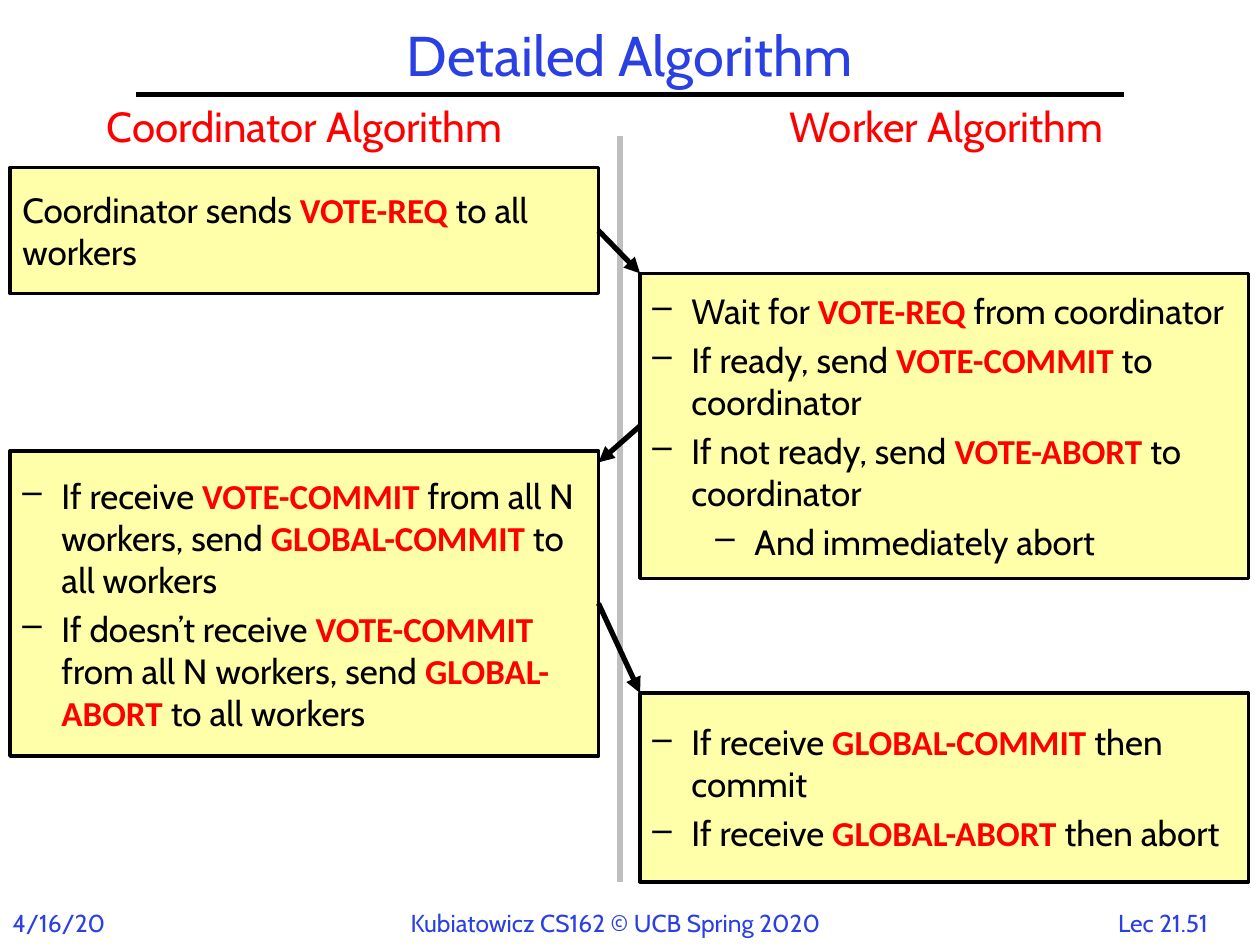
import pptx
import pptx.util
import pptx.dml.color
import pptx.enum.shapes
import pptx.enum.text
import pptx.oxml.ns
from lxml import etree
from pptx.util import Inches

COLORS = {"blue": "2A40E2", "red": "FF0000", "black": "000000",
          "gray": "BFBFBF", "yellow": "FFFFAA"}
BODY_FONT, COMMAND_FONT = "Cabin", "Calibri"
ALIGN = pptx.enum.text.PP_ALIGN
ANCHOR = pptx.enum.text.MSO_ANCHOR
INDENT = 0.31

LEFT_X, LEFT_W = 0.08, 4.67
RIGHT_X, RIGHT_W = 5.08, 4.83

# Steps: (indent level or None for no bullet, text with *commands* marked)
REQUEST = [(None, "Coordinator sends *VOTE-REQ *to all workers")]
VOTE = [
    (0, "Wait for *VOTE-REQ *from coordinator"),
    (0, "If ready, send *VOTE-COMMIT *to coordinator"),
    (0, "If not ready, send *VOTE-ABORT *to coordinator"),
    (1, "And immediately abort"),
]
DECISION = [
    (0, "If receive *VOTE-COMMIT *from all N workers, send *GLOBAL-COMMIT* to all workers"),
    (0, "If doesn’t receive *VOTE-COMMIT *from all N workers, send *GLOBAL-ABORT *to all workers"),
]
OUTCOME = [
    (0, "If receive *GLOBAL-COMMIT *then commit"),
    (0, "If receive *GLOBAL-ABORT *then abort"),
]


def rgb(name):
    return pptx.dml.color.RGBColor.from_string(COLORS[name])


def add_run(paragraph, text, size, color, font=BODY_FONT, bold=False):
    run = paragraph.add_run()
    run.text = text
    run.font.name = font
    run.font.size = pptx.util.Pt(size)
    run.font.bold = bold
    run.font.color.rgb = rgb(color)


def add_label(slide, box, text, size, color, align=ALIGN.LEFT):
    label = slide.shapes.add_textbox(*map(Inches, box))
    label.text_frame.word_wrap = False
    paragraph = label.text_frame.paragraphs[0]
    paragraph.alignment = align
    add_run(paragraph, text, size, color)


def add_line(slide, start, end, color, arrow=False):
    line = slide.shapes.add_connector(
        pptx.enum.shapes.MSO_CONNECTOR.STRAIGHT, *map(Inches, start + end))
    line.line.color.rgb = rgb(color)
    line.line.width = pptx.util.Pt(3)
    if arrow:
        etree.SubElement(line.line._get_or_add_ln(),
                         pptx.oxml.ns.qn("a:tailEnd"), type="triangle")
    etree.SubElement(line._element.spPr, pptx.oxml.ns.qn("a:effectLst"))
    return line


def add_message(slide, sender, side, start, end):
    """Arrow from the middle of the sender's side to the receiver's corner."""
    add_line(slide, start, end, "black", arrow=True).begin_connect(sender, side)


def add_step_box(slide, box, steps):
    step_box = slide.shapes.add_shape(
        pptx.enum.shapes.MSO_SHAPE.RECTANGLE, *map(Inches, box))
    step_box.shadow.inherit = False
    step_box.fill.solid()
    step_box.fill.fore_color.rgb = rgb("yellow")
    step_box.line.color.rgb = rgb("black")
    step_box.line.width = pptx.util.Pt(2)
    frame = step_box.text_frame
    frame.word_wrap = True
    frame.vertical_anchor = ANCHOR.MIDDLE
    for index, (level, text) in enumerate(steps):
        paragraph = frame.add_paragraph() if index else frame.paragraphs[0]
        paragraph.alignment = ALIGN.LEFT
        if level is not None:
            paragraph.space_before = pptx.util.Pt(4)
            properties = paragraph._p.get_or_add_pPr()
            properties.set("marL", str(Inches(INDENT + 0.5 * level)))
            properties.set("indent", str(-Inches(INDENT)))
            etree.SubElement(properties, pptx.oxml.ns.qn("a:buChar"), char="–")
        for part, words in enumerate(text.split("*")):
            if part % 2:
                add_run(paragraph, words, 20, "red", COMMAND_FONT, True)
            else:
                add_run(paragraph, words, 20, "black")
    return step_box


def add_header(slide, box):
    left, top, width, height = box
    title = slide.shapes.title
    title.left, title.top, title.width, title.height = map(Inches, box)
    title.text_frame.vertical_anchor = ANCHOR.MIDDLE
    paragraph = title.text_frame.paragraphs[0]
    paragraph.alignment = ALIGN.CENTER
    paragraph.line_spacing = 0.9
    add_run(paragraph, "Detailed Algorithm", 32, "blue")
    add_line(slide, (left, top + height), (left + width, top + height), "black")


def add_footer(slide, top, height):
    # The date box is wide enough to keep the date on one line
    add_label(slide, (0, top, 1, height), "4/16/20", 14, "blue")
    add_label(slide, (3.16, top, 3.68, height),
              "Kubiatowicz CS162 © UCB Spring 2020", 14, "blue")
    add_label(slide, (8.69, top, 1.08, height), "Lec 21.51", 14, "blue", ALIGN.CENTER)


def add_exchange(slide, top, bottom):
    """Coordinator and worker columns with the messages between them."""
    add_line(slide, (4.92, top), (4.92, bottom), "gray")
    add_label(slide, (0.75, top - 0.33, 3.36, 0.5), "Coordinator Algorithm", 24, "red")
    add_label(slide, (6.17, top - 0.33, 2.72, 0.5), "Worker Algorithm", 24, "red")

    # Steps of both sides
    request = add_step_box(slide, (LEFT_X, top + 0.25, LEFT_W, 1), REQUEST)
    vote = add_step_box(slide, (RIGHT_X, top + 1.09, RIGHT_W, 2.42), VOTE)
    decision = add_step_box(slide, (LEFT_X, top + 2.5, LEFT_W, 2.42), DECISION)
    add_step_box(slide, (RIGHT_X, bottom - 1.5, RIGHT_W, 1.5), OUTCOME)

    # Messages
    left_edge = LEFT_X + LEFT_W
    add_message(slide, request, 3, (left_edge, top + 0.75), (RIGHT_X, top + 1.09))
    add_message(slide, vote, 1, (RIGHT_X, top + 2.3), (left_edge, top + 2.59))
    add_message(slide, decision, 3, (left_edge, top + 3.71), (RIGHT_X, bottom - 1.5))


def main():
    deck = pptx.Presentation()
    deck.slide_width, deck.slide_height = Inches(10), Inches(7.5)
    slide = deck.slides.add_slide(deck.slide_layouts[5])
    add_header(slide, (1.08, 0.17, 7.84, 0.58))
    add_exchange(slide, 1.08, 7)
    add_footer(slide, 7.16, 0.34)
    deck.save("out.pptx")


if __name__ == "__main__":
    main()
